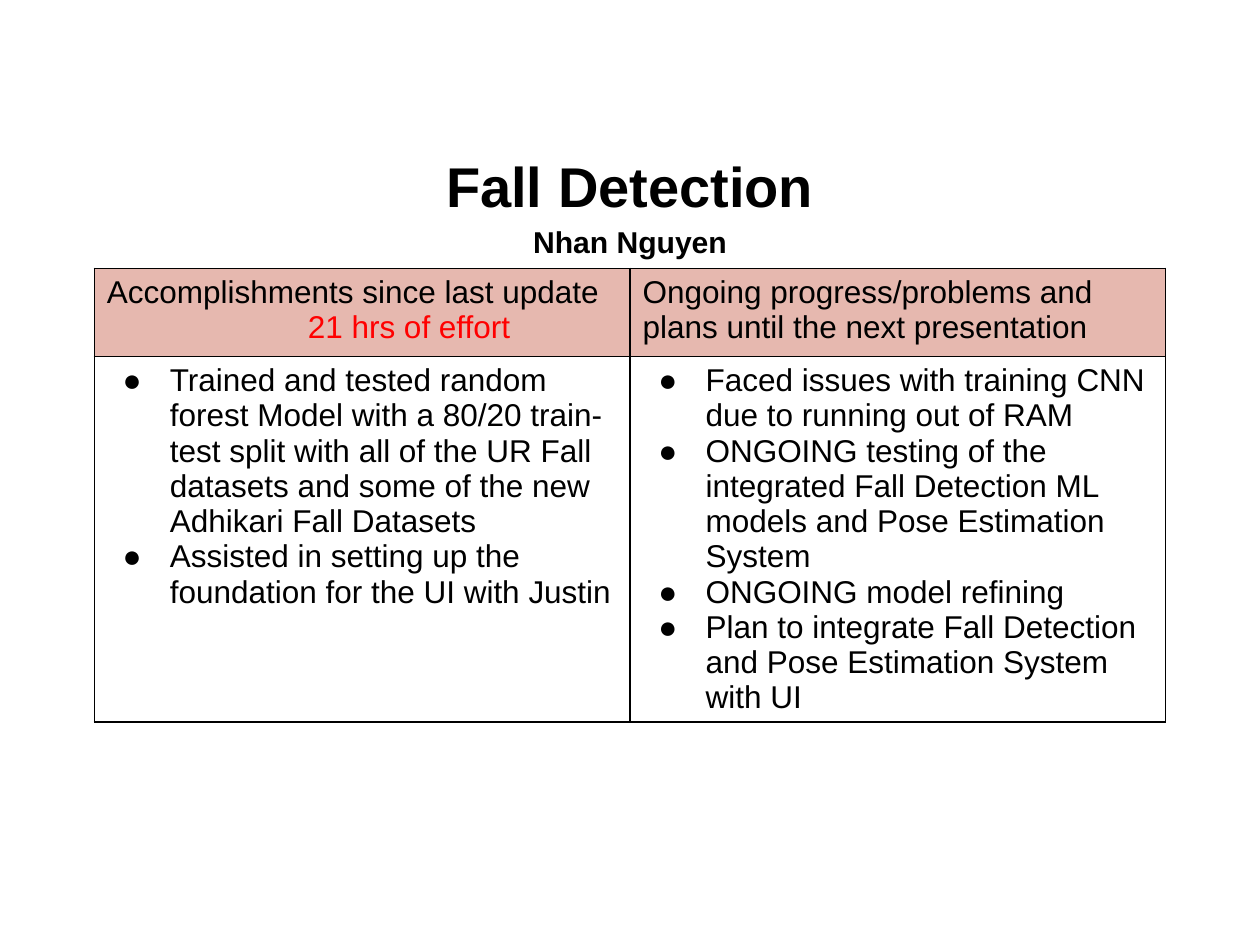
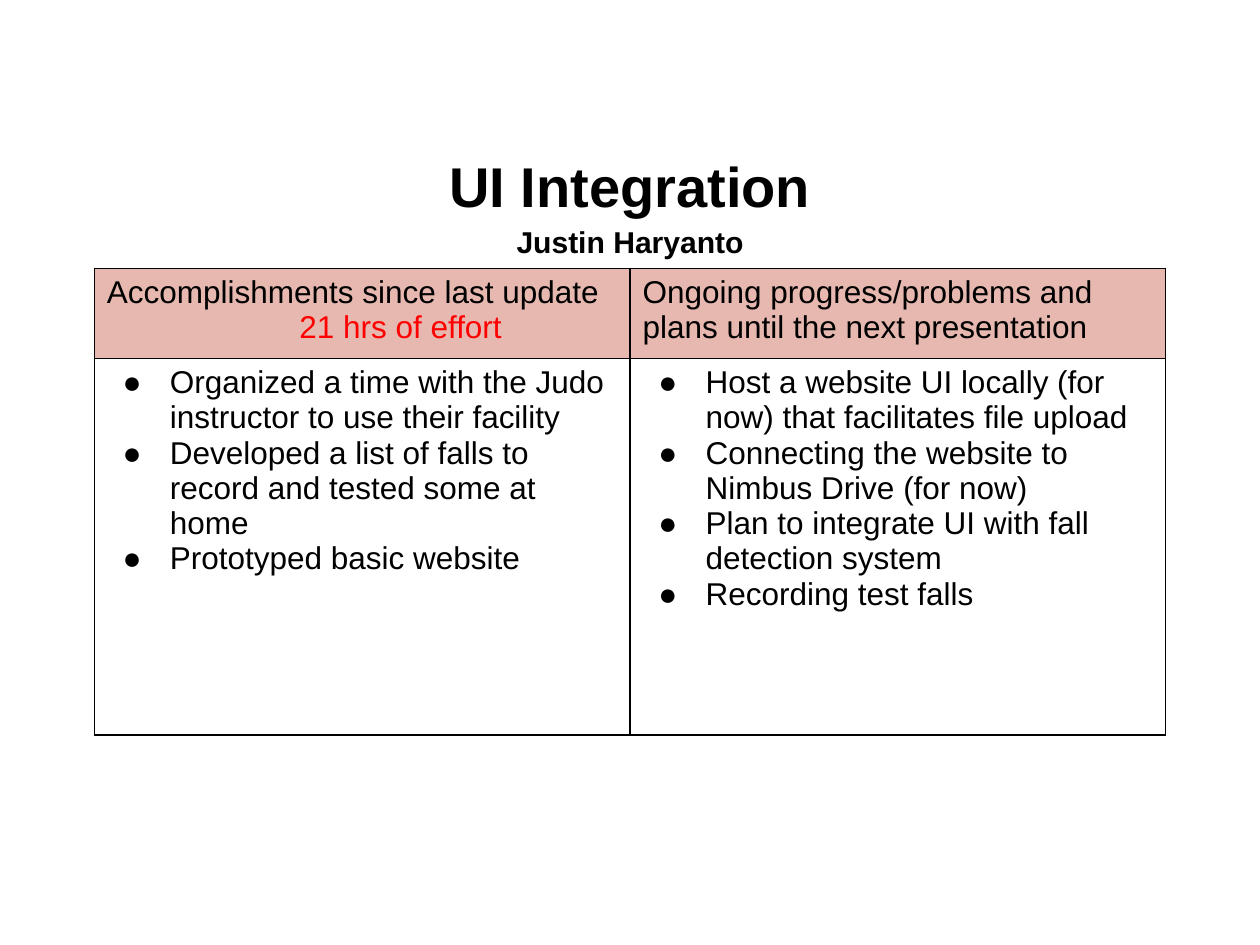
from dataclasses import dataclass

from lxml import etree
from pptx import Presentation
from pptx.dml.color import RGBColor
from pptx.enum import text
from pptx.oxml import ns
from pptx.util import Cm, Pt


@dataclass(frozen=True)
class Theme:
    font: str = "Arial"
    ink: str = "000000"
    effort: str = "FF0000"
    header: str = "E6B8AF"
    topic_size: float = 32
    presenter_size: float = 17.2
    body_size: float = 18
    border: float = 1


THEME = Theme()
HEADINGS = ("Accomplishments since last update",
            "Ongoing progress/problems and plans until the next presentation")

# Content of each update; lengths in centimetres
UPDATES = [
    {
        "topic": "Fall Detection",
        "presenter": "Nhan Nguyen",
        "effort": "21 hrs of effort",
        "effort_indent": 4.05,
        "row_heights": (1.78, 7.36),
        "columns": (
            ["Trained and tested random forest Model with a 80/20 train-test split "
             "with all of the UR Fall datasets and some of the new Adhikari Fall Datasets",
             "Assisted in setting up the foundation for the UI with Justin"],
            ["Faced issues with training CNN due to running out of RAM",
             "ONGOING testing of the integrated Fall Detection ML models "
             "and Pose Estimation System",
             "ONGOING model refining",
             "Plan to integrate Fall Detection and Pose Estimation System with UI"],
        ),
    },
    {
        "topic": "UI Integration",
        "presenter": "Justin Haryanto",
        "effort": "21 hrs of effort",
        "effort_indent": 3.88,
        "row_heights": (1.82, 7.59),
        "columns": (
            ["Organized a time with the Judo instructor to use their facility",
             "Developed a list of falls to record and tested some at home",
             "Prototyped basic website"],
            ["Host a website UI locally (for now) that facilitates file upload",
             "Connecting the website to Nimbus Drive (for now)",
             "Plan to integrate UI with fall detection system",
             "Recording test falls"],
        ),
    },
]


def write(frame, lines):
    """Fill a text frame with (words, size, colour, bold) lines."""
    for index, (words, size, colour, bold) in enumerate(lines):
        paragraph = frame.paragraphs[0] if index == 0 else frame.add_paragraph()
        run = paragraph.add_run()
        run.text = words
        run.font.color.rgb = RGBColor.from_string(colour)
        style = {"name": THEME.font, "size": Pt(size), "bold": bold}
        for attribute, value in style.items():
            setattr(run.font, attribute, value)
    return frame.paragraphs


def add_xml(parent, tag, **attributes):
    return etree.SubElement(parent, ns.qn(tag), attributes)


deck = Presentation()
deck.slide_width, deck.slide_height = Cm(25.4), Cm(19.05)

for update in UPDATES:
    slide = deck.slides.add_slide(deck.slide_layouts[5])

    # Topic and presenter
    title = slide.shapes.title
    place = {"left": Cm(1.27), "top": Cm(2.92), "width": Cm(22.86), "height": Cm(2.24)}
    for attribute, value in place.items():
        setattr(title, attribute, value)
    title.text_frame.auto_size = text.MSO_AUTO_SIZE.NONE
    title.text_frame.vertical_anchor = text.MSO_ANCHOR.MIDDLE
    for paragraph in write(title.text_frame, [
            (update["topic"], THEME.topic_size, THEME.ink, True),
            (update["presenter"], THEME.presenter_size, THEME.ink, True)]):
        paragraph.alignment = text.PP_ALIGN.CENTER
        paragraph.line_spacing = 1.15
        paragraph.space_before = Pt(0)

    # Progress table
    heights = update["row_heights"]
    progress = slide.shapes.add_table(
        2, 2, Cm(1.9), Cm(5.41), Cm(21.6), Cm(sum(heights))).table
    progress.first_row = progress.horz_banding = False
    for row, height in zip(progress.rows, heights):
        row.height = Cm(height)

    for column, (heading, points) in enumerate(zip(HEADINGS, update["columns"])):
        # Heading, with the effort on its own indented line
        head = progress.cell(0, column)
        head.fill.solid()
        head.fill.fore_color.rgb = RGBColor.from_string(THEME.header)
        lines = [(heading, THEME.body_size, THEME.ink, False)]
        if column == 0:
            lines.append((update["effort"], THEME.body_size, THEME.effort, False))
        paragraphs = write(head.text_frame, lines)
        if column == 0:
            paragraphs[1]._p.get_or_add_pPr().set("marL", str(Cm(update["effort_indent"])))

        # Bulleted points
        body = progress.cell(1, column)
        body.fill.background()
        for paragraph in write(body.text_frame, [
                (point, THEME.body_size, THEME.ink, False) for point in points]):
            properties = paragraph._p.get_or_add_pPr()
            properties.set("marL", str(Cm(1.27)))
            properties.set("indent", str(Cm(-0.95)))
            add_xml(add_xml(properties, "a:buClr"), "a:srgbClr", val=THEME.ink)
            add_xml(properties, "a:buFont", typeface=THEME.font)
            add_xml(properties, "a:buChar", char="●")

    # Cell borders go before the fill
    for cell in progress.iter_cells():
        cell_properties = cell._tc.get_or_add_tcPr()
        for position, side in enumerate(("a:lnL", "a:lnR", "a:lnT", "a:lnB")):
            edge = add_xml(cell_properties, side, w=str(Pt(THEME.border)))
            add_xml(add_xml(edge, "a:solidFill"), "a:srgbClr", val=THEME.ink)
            cell_properties.insert(position, edge)

deck.save("out.pptx")
